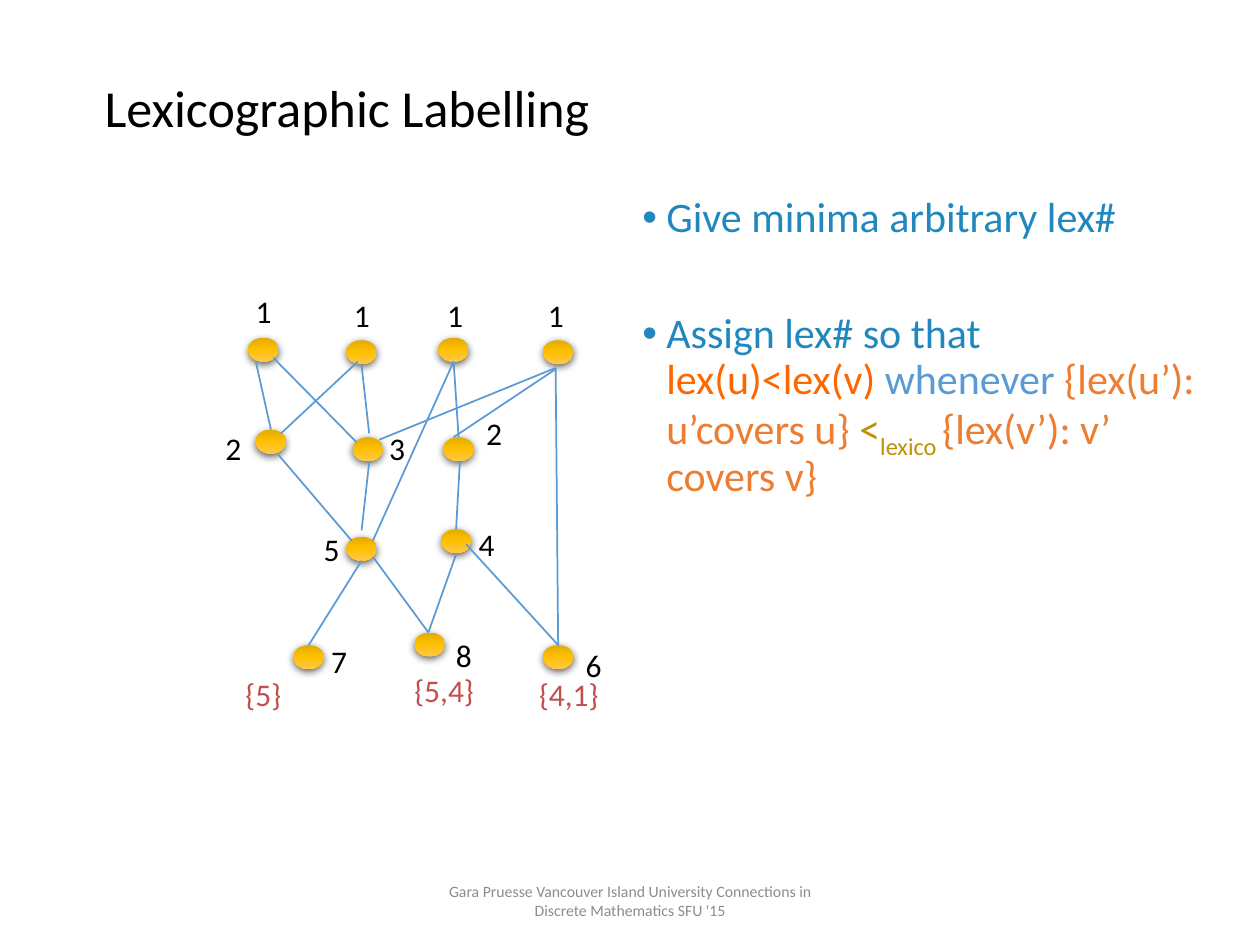
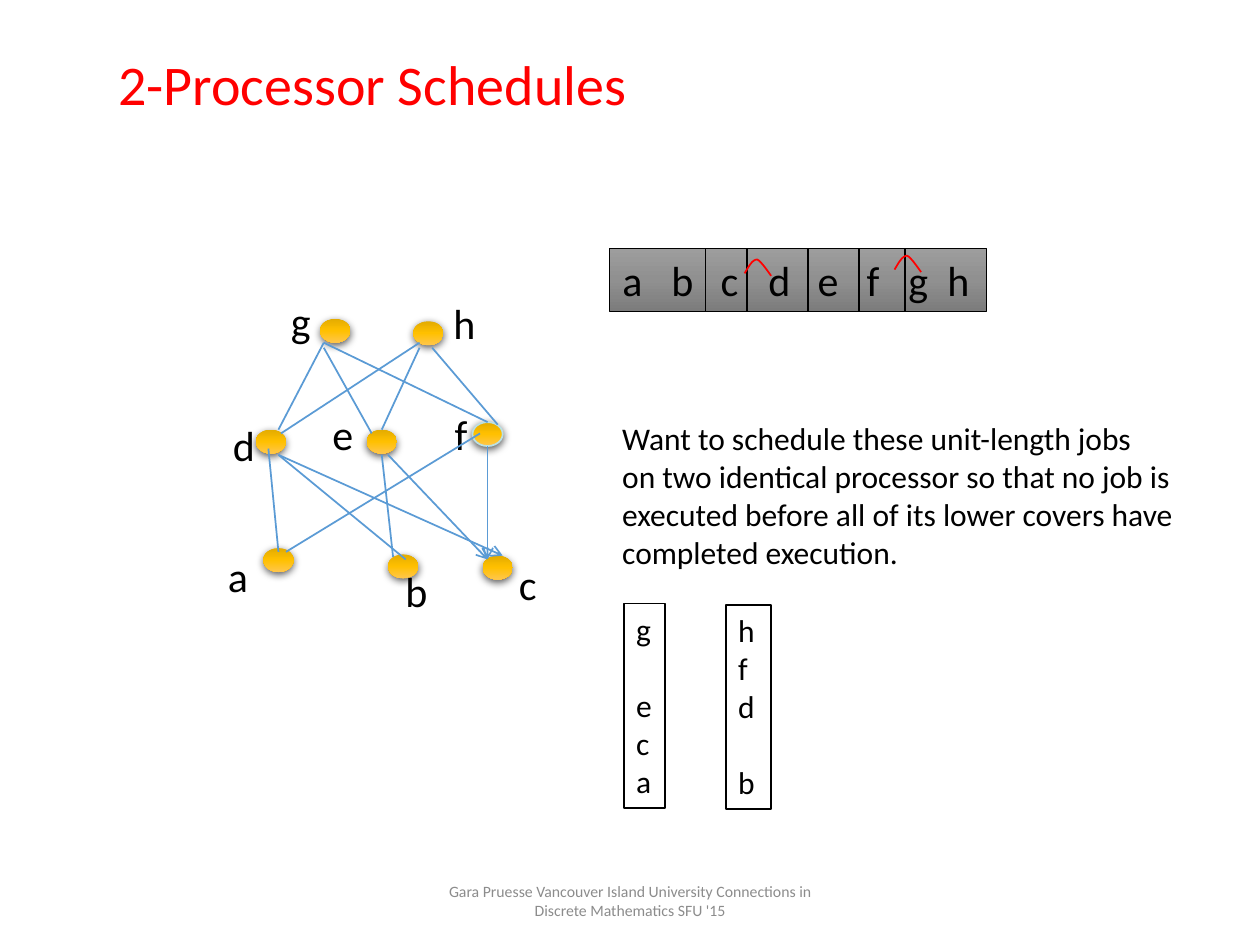
from lxml.etree import SubElement
from pptx import Presentation
from pptx.dml.color import RGBColor
from pptx.enum.shapes import MSO_CONNECTOR, MSO_SHAPE
from pptx.enum.text import MSO_ANCHOR, MSO_AUTO_SIZE, PP_ALIGN
from pptx.oxml import parse_xml
from pptx.oxml.ns import nsdecls, qn
from pptx.util import Inches, Pt

FONT = "Calibri"
BLACK = RGBColor(0x00, 0x00, 0x00)
WHITE = RGBColor(0xFF, 0xFF, 0xFF)
RED = RGBColor(0xFF, 0x00, 0x00)
GREY = RGBColor(0x8C, 0x8C, 0x8C)
TEAL = RGBColor(0x20, 0x88, 0xBC)
EDGE_BLUE = RGBColor(0x5B, 0x9B, 0xD5)
BRIGHT_ORANGE = RGBColor(0xFF, 0x66, 0x00)
ORANGE = RGBColor(0xED, 0x7D, 0x31)
OCHRE = RGBColor(0xBF, 0x90, 0x00)
BRICK = RGBColor(0xC0, 0x50, 0x4D)
PALE_CYAN = RGBColor(0xBB, 0xE0, 0xE3)
GOLD_STOPS = ("E3AB00", "FFC000", "FFC64B")
GREY_STOPS = ("9D9D9D", "909090", "7C7C7C")

FOOTER = "Gara Pruesse Vancouver Island University Connections in Discrete Mathematics SFU '15"
NODE_W, NODE_H = 0.24, 0.19

# Slide 1: bullets as (text, colour, baseline); "\n" is a line break
RULES = [
    (7.5, [("Give minima arbitrary lex#", TEAL, 0)]),
    (40.5, [("Assign lex# so that\n", TEAL, 0),
            ("lex(u)<lex(v) ", BRIGHT_ORANGE, 0),
            ("whenever", EDGE_BLUE, 0),
            (" {lex(u’): u’covers u} ", ORANGE, 0),
            ("<", OCHRE, 0),
            ("lexico ", OCHRE, -25),
            ("{lex(v’): v’ covers v}", ORANGE, 0)]),
]
LEX_NODES = [
    (1.97, 2.68), (2.75, 2.7), (3.48, 2.68), (4.31, 2.7),
    (2.03, 3.41), (2.8, 3.47), (3.52, 3.47),
    (2.75, 4.26), (3.5, 4.2),
    (2.33, 5.12), (3.29, 5.02), (4.31, 5.12),
]
LEX_EDGES = [
    (2.03, 2.87, 2.15, 3.41), (2.87, 2.9, 2.93, 3.44), (3.6, 2.87, 3.64, 3.47),
    (4.41, 2.92, 4.43, 5.12), (2.17, 2.84, 2.83, 3.51), (2.21, 3.61, 2.79, 4.29),
    (3.65, 3.66, 3.62, 4.2), (4.41, 2.92, 3.01, 3.49), (2.93, 3.67, 2.87, 4.21),
    (2.96, 4.42, 3.4, 5.02), (3.62, 4.4, 3.4, 5.02), (3.7, 4.32, 4.43, 5.12),
    (2.87, 4.45, 2.45, 5.12), (3.6, 2.87, 2.96, 4.29), (2.84, 2.87, 2.23, 3.44),
    (4.41, 2.93, 3.6, 3.47),
]
LEX_NUMBERS = [
    ("1", 1.93, 2.27), ("1", 2.71, 2.3), ("1", 3.45, 2.3), ("1", 4.25, 2.3),
    ("2", 1.69, 3.36), ("2", 3.76, 3.24), ("3", 2.99, 3.36), ("4", 3.7, 4.12),
    ("5", 2.47, 4.16), ("6", 4.55, 5.08), ("7", 2.53, 5.05), ("8", 3.52, 5),
]
COVER_SETS = [("{5}", 1.85, 5.31, 0.5), ("{5,4}", 3.19, 5.28, 0.68),
              ("{4,1}", 4.18, 5.31, 0.68)]

# Slide 2
JOB_NODES = [(3.08, 4.4), (2.91, 3.41), (3.83, 4.41), (2.09, 4.35), (2.03, 3.41),
             (3.28, 2.55), (2.54, 2.53)]
OUTLINED_NODE = (3.75, 3.35)
JOB_ARROWS = [(2.21, 3.61, 3.99, 4.41), (3.87, 3.54, 3.87, 4.44),
              (3.08, 3.61, 3.87, 4.44)]
JOB_EDGES = [
    (2.57, 2.72, 2.21, 3.41), (2.57, 2.76, 2.95, 3.44), (3.33, 2.72, 2.23, 3.44),
    (2.57, 2.72, 3.87, 3.35), (3.43, 2.76, 3.95, 3.37), (3.33, 2.76, 3.03, 3.41),
    (2.21, 3.61, 3.22, 4.44), (3.03, 3.61, 3.12, 4.42), (3.81, 3.44, 2.27, 4.38),
    (2.13, 3.56, 2.21, 4.38),
]
JOB_LABELS = [("a", 1.71, 4.32), ("b", 3.12, 4.44), ("c", 4.02, 4.38),
              ("d", 1.75, 3.28), ("e", 2.54, 3.19), ("f", 3.51, 3.19),
              ("g", 2.21, 2.3), ("h", 3.5, 2.31)]
STRIP = (4.84, 1.97, 2.99, 0.5)
STRIP_JOBS = "abcdefgh"
STRIP_TABS = [0.39, 0.78, 1.16, 1.55, 1.94, 2.27, 2.58]
STRIP_DIVIDERS = [5.6, 5.93, 6.41, 6.82, 7.18]
SWAP_ARC = [(0, 0.11), (0.03, 0.06), (0.06, 0), (0.1, 0),
            (0.13, 0.01), (0.21, 0.13), (0.21, 0.13)]
SWAP_ARCS_AT = [(5.91, 2.06), (7.1, 2.03)]
TASK = ["Want to schedule these unit-length jobs",
        "on two identical processor so that no job is",
        "executed before all of its lower covers have",
        "completed execution."]
# None is an idle time slot
PROCESSORS = [((4.95, 4.79, 0.33, 1.62), ["g", None, "e", "c", "a"]),
              ((5.76, 4.8, 0.36, 1.62), ["h", "f", "d", None, "b"])]
SLOT_HEIGHT = 22


def inches(values):
    return [Inches(v) for v in values]


# Text
def add_run(p, text, size, color):
    r = p.add_run()
    r.text = text
    r.font.name, r.font.size, r.font.color.rgb = FONT, Pt(size), color
    return r


def write(tf, lines, size, color=BLACK, wrap=False):
    tf.word_wrap = wrap
    tf.vertical_anchor = MSO_ANCHOR.TOP
    p = None
    gap = 0
    for line in lines:
        if line is None:
            gap += SLOT_HEIGHT
            continue
        p = tf.paragraphs[0] if p is None else tf.add_paragraph()
        p.alignment = PP_ALIGN.LEFT
        p.space_before = Pt(gap)
        gap = 0
        add_run(p, line, size, color)
    return tf


def add_text(slide, box, lines, size, color=BLACK, wrap=False):
    return write(slide.shapes.add_textbox(*inches(box)).text_frame,
                 lines, size, color, wrap)


# Shapes
def fill_gradient(sp, stops):
    xml = "".join(f'<a:gs pos="{i * 50000}"><a:srgbClr val="{c}"/></a:gs>'
                  for i, c in enumerate(stops))
    sp._element.spPr.insert(2, parse_xml(
        f'<a:gradFill {nsdecls("a")} rotWithShape="1"><a:gsLst>{xml}</a:gsLst>'
        '<a:lin ang="5400000" scaled="0"/></a:gradFill>'))


def set_line(sp, color, width=1):
    sp.line.color.rgb = color
    sp.line.width = Pt(width)


def add_rect(slide, box):
    sp = slide.shapes.add_shape(MSO_SHAPE.RECTANGLE, *inches(box))
    sp.shadow.inherit = False
    return sp


def add_node(slide, x, y, outline=None):
    sp = slide.shapes.add_shape(MSO_SHAPE.OVAL, *inches((x, y, NODE_W, NODE_H)))
    fill_gradient(sp, GOLD_STOPS)
    if outline:
        set_line(sp, outline)
    else:
        sp.line.fill.background()
    sp.shadow.inherit = False
    sp._element.spPr.find(qn("a:effectLst")).append(parse_xml(
        f'<a:outerShdw {nsdecls("a")} blurRad="57150" dist="19050" dir="5400000" '
        'algn="ctr" rotWithShape="0"><a:srgbClr val="000000">'
        '<a:alpha val="63000"/></a:srgbClr></a:outerShdw>'))


def add_line(slide, ends, color=EDGE_BLUE, arrow=False):
    cx = slide.shapes.add_connector(MSO_CONNECTOR.STRAIGHT, *inches(ends))
    set_line(cx, color)
    if arrow:
        SubElement(cx.line._get_or_add_ln(), qn("a:tailEnd"), type="arrow")
    SubElement(cx._element.spPr, qn("a:effectLst"))


def bezier(p0, p1, p2, p3, steps=8):
    for i in range(1, steps + 1):
        t = i / steps
        yield tuple((1 - t) ** 3 * a + 3 * (1 - t) ** 2 * t * b
                    + 3 * (1 - t) * t ** 2 * c + t ** 3 * d
                    for a, b, c, d in zip(p0, p1, p2, p3))


def add_swap_arc(slide, x, y):
    pts = [(Inches(x + dx), Inches(y + dy)) for dx, dy in SWAP_ARC]
    curve = [*bezier(*pts[:4]), *bezier(*pts[3:])]
    fb = slide.shapes.build_freeform(*pts[0])
    fb.add_line_segments(curve, close=False)
    sp = fb.convert_to_shape()
    sp.fill.background()
    set_line(sp, RED)
    sp.shadow.inherit = False


# Shared slide frame: title and footer
def new_slide(prs, title, box, size, color):
    slide = prs.slides.add_slide(prs.slide_layouts[5])
    sp = slide.shapes.title
    sp.left, sp.top, sp.width, sp.height = inches(box)
    tf = write(sp.text_frame, [title], size, color, wrap=True)
    tf.auto_size = MSO_AUTO_SIZE.NONE
    tf.vertical_anchor = MSO_ANCHOR.MIDDLE
    tf.paragraphs[0].line_spacing = 0.9
    footer = add_text(slide, (3.31, 6.95, 3.38, 0.4), [FOOTER], 9, GREY, wrap=True)
    footer.vertical_anchor = MSO_ANCHOR.MIDDLE
    footer.paragraphs[0].alignment = PP_ALIGN.CENTER
    return slide


def add_rules(slide):
    tf = slide.shapes.add_textbox(*inches((5, 1.51, 4.73, 4.95))).text_frame
    tf.word_wrap = True
    for i, (gap, runs) in enumerate(RULES):
        p = tf.add_paragraph() if i else tf.paragraphs[0]
        p.line_spacing, p.space_before = 0.9, Pt(gap)
        pPr = p._p.get_or_add_pPr()
        pPr.set("marL", str(Inches(0.19)))
        pPr.set("indent", str(-Inches(0.19)))
        SubElement(pPr, qn("a:buFont"), typeface="Arial")
        SubElement(pPr, qn("a:buChar"), char="•")
        for text, color, baseline in runs:
            r = add_run(p, text.rstrip("\n"), 24, color)
            if baseline:
                r.font._element.set("baseline", str(baseline * 1000))
            if text.endswith("\n"):
                p.add_line_break()


def build_labelling(prs):
    slide = new_slide(prs, "Lexicographic Labelling", (0.73, 0.59, 9, 0.58), 29.7, BLACK)
    add_rules(slide)
    for x, y in LEX_NODES:
        add_node(slide, x, y)
    for ends in LEX_EDGES:
        add_line(slide, ends)
    for number, x, y in LEX_NUMBERS:
        add_text(slide, (x, y, 0.33, 0.4), [number], 18)
    for covers, x, y, w in COVER_SETS:
        add_text(slide, (x, y, w, 0.4), [covers], 18, BRICK)


def build_schedules(prs):
    slide = new_slide(prs, "2-Processor Schedules", (0.84, 0.62, 9, 0.15), 32, RED)

    # Job order graph
    for x, y in JOB_NODES:
        add_node(slide, x, y)
    add_node(slide, *OUTLINED_NODE, outline=PALE_CYAN)
    for ends in JOB_ARROWS:
        add_line(slide, ends, arrow=True)
    for job, x, y in JOB_LABELS:
        add_text(slide, (x, y, 0.37, 0.5), [job], 24)
    for ends in JOB_EDGES:
        add_line(slide, ends)

    # Strip of jobs in list order
    strip = add_rect(slide, STRIP)
    fill_gradient(strip, GREY_STOPS)
    set_line(strip, BLACK, 0.5)
    tf = write(strip.text_frame, ["\t".join(STRIP_JOBS)], 24, wrap=True)
    tabs = SubElement(tf.paragraphs[0]._p.get_or_add_pPr(), qn("a:tabLst"))
    for pos in STRIP_TABS:
        SubElement(tabs, qn("a:tab"), pos=str(Inches(pos)), algn="l")
    top, bottom = STRIP[1], STRIP[1] + STRIP[3]
    for x in STRIP_DIVIDERS:
        add_line(slide, (x, top, x, bottom), BLACK)
    for x, y in SWAP_ARCS_AT:
        add_swap_arc(slide, x, y)

    # Task and the two processors
    add_text(slide, (4.84, 3.28, 4.66, 1.31), TASK, 18)
    for box, jobs in PROCESSORS:
        sp = add_rect(slide, box)
        sp.fill.solid()
        sp.fill.fore_color.rgb = WHITE
        set_line(sp, BLACK)
        write(sp.text_frame, jobs, 18)


def main():
    prs = Presentation()
    prs.slide_width, prs.slide_height = Inches(10), Inches(7.5)
    build_labelling(prs)
    build_schedules(prs)
    prs.save("out.pptx")


if __name__ == "__main__":
    main()
